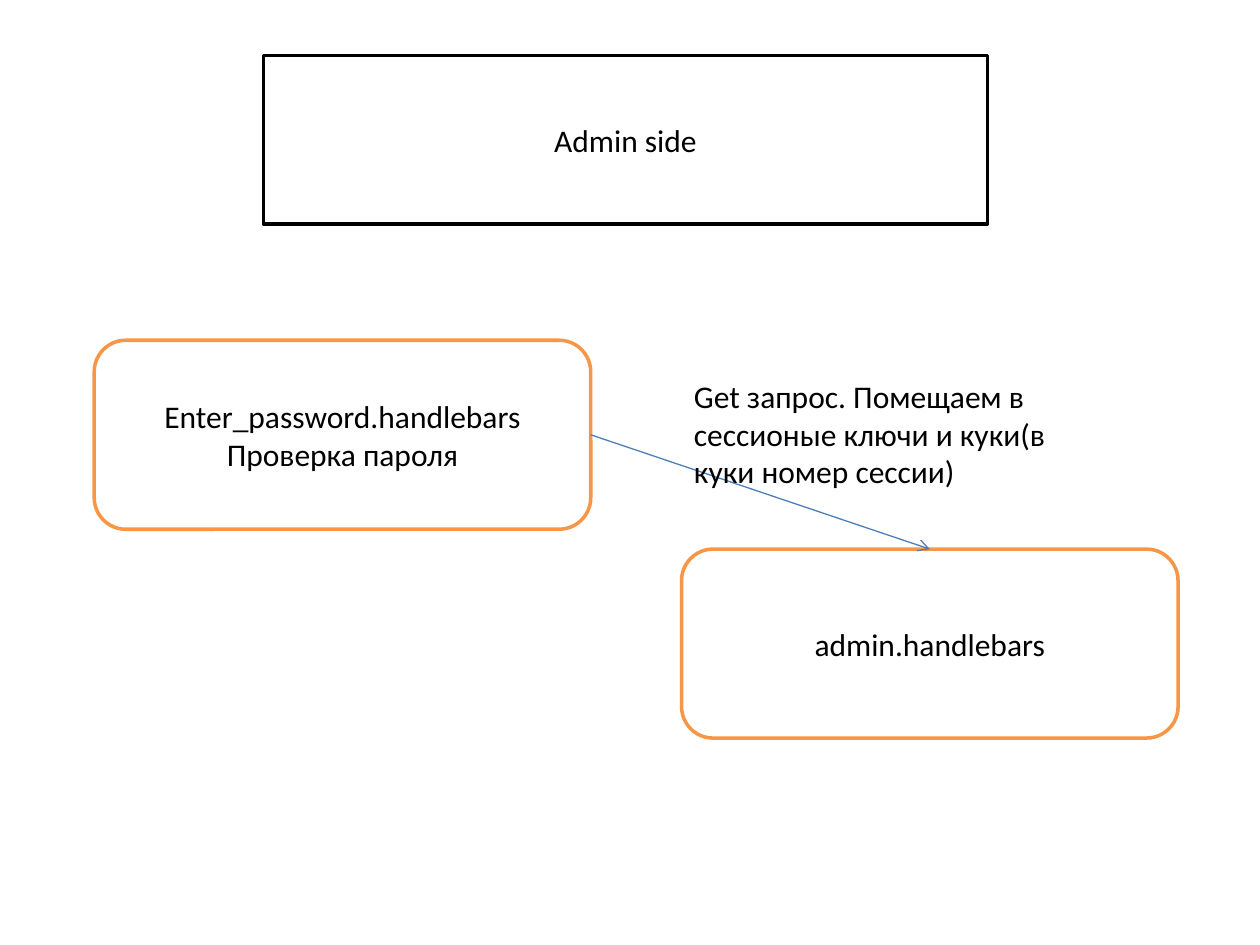
from dataclasses import dataclass

from lxml.etree import SubElement
from pptx import Presentation
from pptx.dml.color import RGBColor
from pptx.enum.shapes import MSO_CONNECTOR, MSO_SHAPE
from pptx.enum.text import MSO_ANCHOR, MSO_AUTO_SIZE, PP_ALIGN
from pptx.oxml.ns import qn
from pptx.shapes.autoshape import Shape
from pptx.slide import Slide
from pptx.text.text import TextFrame
from pptx.util import Cm, Pt

BLACK = RGBColor(0x00, 0x00, 0x00)
WHITE = RGBColor(0xFF, 0xFF, 0xFF)
ORANGE = RGBColor(0xF7, 0x96, 0x46)
BLUE = RGBColor(0x4B, 0x7E, 0xBC)

FONT_FORMAT = {"name": "Calibri", "size": Pt(18)}
PAGE_WIDTH, PAGE_HEIGHT = 10.01, 3.81  # size of a page box in cm

# Connection sites of rectangles are numbered from the top, counterclockwise.
TOP_SITE, RIGHT_SITE = 0, 3


@dataclass(frozen=True)
class Box:
    """A framed box; lengths are in centimetres."""

    lines: tuple[str, ...]
    left: float
    top: float
    width: float = PAGE_WIDTH
    height: float = PAGE_HEIGHT
    preset: MSO_SHAPE = MSO_SHAPE.ROUNDED_RECTANGLE
    line_color: RGBColor = ORANGE


PASSWORD_PAGE = Box(("Enter_password.handlebars", "Проверка пароля"), 1.9, 6.86)
TITLE = Box(("Admin side",), 5.31, 1.12, 14.6, 3.4, MSO_SHAPE.RECTANGLE, BLACK)
ADMIN_PAGE = Box(("admin.handlebars",), 13.74, 11.07)
REQUEST_NOTE = "Get запрос. Помещаем в сессионые ключи и куки(в куки номер сессии)"


def write_lines(text_frame: TextFrame, lines: tuple[str, ...], alignment: PP_ALIGN) -> None:
    text_frame.word_wrap = True
    text_frame.text = "\n".join(lines)
    for paragraph in text_frame.paragraphs:
        paragraph.alignment = alignment
        for run in paragraph.runs:
            for attribute, value in FONT_FORMAT.items():
                setattr(run.font, attribute, value)
            run.font.color.rgb = BLACK


def add_box(slide: Slide, box: Box) -> Shape:
    shape = slide.shapes.add_shape(
        box.preset, Cm(box.left), Cm(box.top), Cm(box.width), Cm(box.height)
    )
    shape.shadow.inherit = False
    shape.fill.solid()
    shape.fill.fore_color.rgb = WHITE
    shape.line.color.rgb = box.line_color
    shape.line.width = Pt(2)
    shape.text_frame.vertical_anchor = MSO_ANCHOR.MIDDLE
    write_lines(shape.text_frame, box.lines, PP_ALIGN.CENTER)
    return shape


def add_arrow(slide: Slide, source: Shape, target: Shape) -> None:
    """Link the right side of source to the top of target."""
    connector = slide.shapes.add_connector(MSO_CONNECTOR.STRAIGHT, 0, 0, 0, 0)
    connector.begin_connect(source, RIGHT_SITE)
    connector.end_connect(target, TOP_SITE)
    connector.line.color.rgb = BLUE
    connector.line.width = Pt(0.75)
    properties = connector.element.spPr
    SubElement(properties.find(qn("a:ln")), qn("a:tailEnd"), type="arrow")
    SubElement(properties, qn("a:effectLst"))


def add_note(slide: Slide, text: str) -> None:
    note = slide.shapes.add_textbox(Cm(ADMIN_PAGE.left), Cm(7.47), Cm(8.61), Cm(2.57))
    write_lines(note.text_frame, (text,), PP_ALIGN.LEFT)
    note.text_frame.auto_size = MSO_AUTO_SIZE.SHAPE_TO_FIT_TEXT


def main() -> None:
    presentation = Presentation()
    presentation.slide_width = Cm(25.4)
    presentation.slide_height = Cm(19.05)
    slide = presentation.slides.add_slide(presentation.slide_layouts[6])

    password_page = add_box(slide, PASSWORD_PAGE)
    add_box(slide, TITLE)
    admin_page = add_box(slide, ADMIN_PAGE)
    add_arrow(slide, password_page, admin_page)
    add_note(slide, REQUEST_NOTE)

    presentation.save("out.pptx")


if __name__ == "__main__":
    main()
